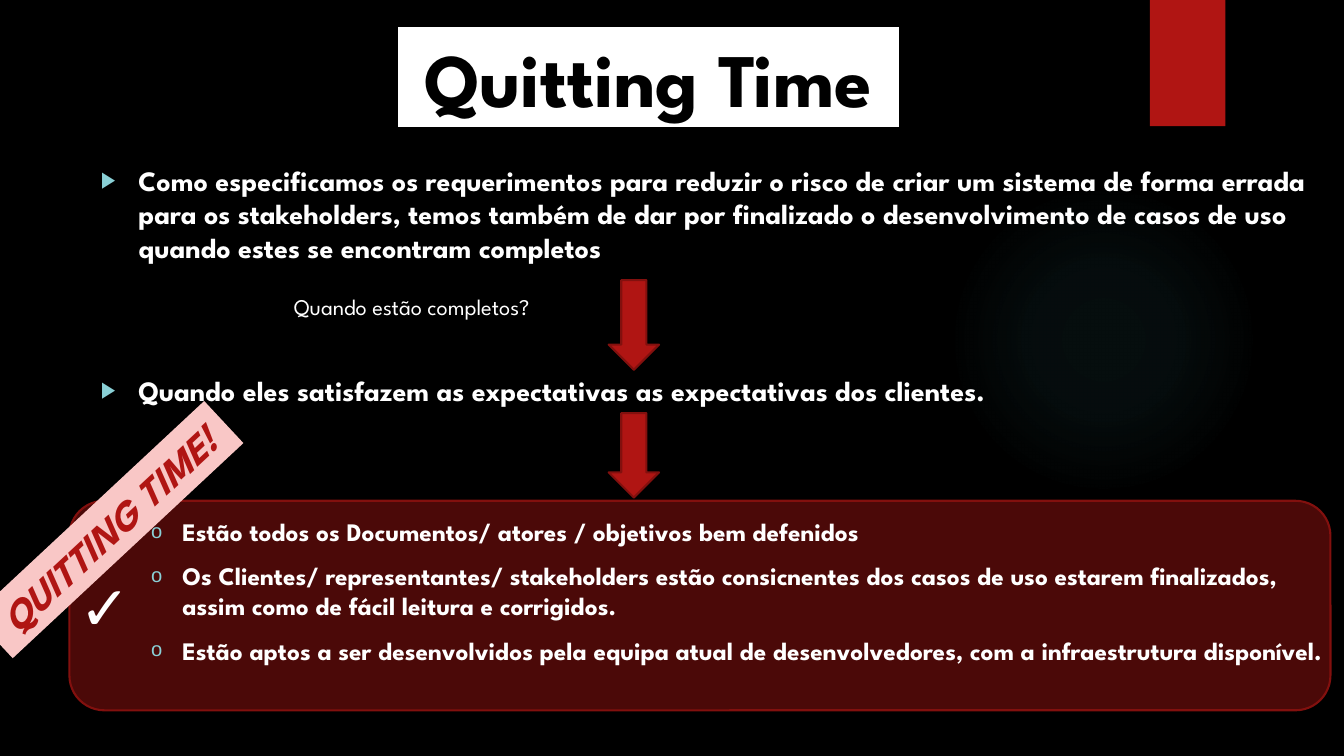
"""Build the Quitting Time slide about finishing use cases."""
import pptx
import pptx.util
import pptx.oxml
import pptx.oxml.ns
import pptx.dml.color
import pptx.enum.shapes
import pptx.enum.text

Cm, Pt = pptx.util.Cm, pptx.util.Pt
RGBColor = pptx.dml.color.RGBColor
SHAPE = pptx.enum.shapes.MSO_SHAPE
ALIGN = pptx.enum.text.PP_ALIGN
MIDDLE = pptx.enum.text.MSO_ANCHOR.MIDDLE

BLACK = RGBColor(0x00, 0x00, 0x00)
WHITE = RGBColor(0xFF, 0xFF, 0xFF)
RED = RGBColor(0xB0, 0x15, 0x13)
DARK = RGBColor(0x82, 0x10, 0x0E)
PINK = RGBColor(0xF9, 0xC7, 0xC6)
AQUA = RGBColor(0x8A, 0xD0, 0xD6)
TEAL = RGBColor(0x50, 0xB9, 0xC1)
FONT = "League Spartan"
SPACE = 'xmlns:a="http://schemas.openxmlformats.org/drawingml/2006/main"'

LEVELS = [
    {"mark": "▶", "size": 20, "left": 0.95, "hang": 0.95},
    {"mark": "o", "size": 18, "left": 2.06, "hang": 0.79},
]
POINTS = [
    (0, 10, "Como especificamos os requerimentos para reduzir o risco de criar um "
            "sistema de forma errada para os stakeholders, temos também de dar por "
            "finalizado o desenvolvimento de casos de uso quando estes se encontram "
            "completos"),
    (0, 78, "Quando eles satisfazem as expectativas as expectativas dos clientes."),
    (1, 78, "Estão todos os Documentos/ atores / objetivos bem defenidos"),
    (1, 10, "Os Clientes/ representantes/ stakeholders estão consicnentes dos casos "
            "de uso estarem finalizados, assim como de fácil leitura e corrigidos."),
    (1, 10, "Estão aptos a ser desenvolvidos pela equipa atual de desenvolvedores, "
            "com a infraestrutura disponível."),
]


def xml(text):
    """Return an element made from drawing markup."""
    return pptx.oxml.parse_xml(text.replace(" ", f" {SPACE} ", 1))


def add_shape(slide, kind, box, fill, line=None):
    """Add a flat preset shape."""
    shape = slide.shapes.add_shape(kind, *map(Cm, box))
    shape.shadow.inherit = False
    shape.fill.solid()
    shape.fill.fore_color.rgb = fill
    if line is None:
        shape.line.fill.background()
    else:
        shape.line.color.rgb = line
        shape.line.width = Pt(1.5)
    return shape


def add_box(slide, box):
    """Add a wrapping text box."""
    shape = slide.shapes.add_textbox(*map(Cm, box))
    shape.text_frame.word_wrap = True
    return shape


def write(para, text, size, color=WHITE, **extra):
    """Write one run with its font values."""
    run = para.add_run()
    run.text = text
    run.font.color.rgb = color
    values = {"name": FONT, "size": Pt(size)} | extra
    for name, value in values.items():
        setattr(run.font, name, value)


def label(shape, text, size, color=WHITE, align=ALIGN.LEFT, **extra):
    """Write a single line into a shape."""
    para = shape.text_frame.paragraphs[0]
    para.alignment = align
    write(para, text, size, color, **extra)


def add_glow(slide, box):
    """Add a faint round glow that fades outwards."""
    shape = add_shape(slide, SHAPE.OVAL, box, TEAL)
    stops = "".join(
        f'<a:gs pos="{pos}000"><a:srgbClr val="{TEAL}">'
        f'<a:alpha val="{alpha}000"/></a:srgbClr></a:gs>'
        for pos, alpha in [(0, 7), (36, 6), (69, 0)])
    grad = xml(f'<a:gradFill rotWithShape="1"><a:gsLst>{stops}</a:gsLst>'
               '<a:path path="circle"><a:fillToRect l="50000" t="50000" '
               'r="50000" b="50000"/></a:path></a:gradFill>')
    props = shape.element.spPr
    props.replace(props.find(pptx.oxml.ns.qn("a:solidFill")), grad)


def add_panel(slide, box):
    """Add the rounded panel with a see-through fill."""
    shape = add_shape(slide, SHAPE.ROUNDED_RECTANGLE, box, RED, DARK)
    solid = shape.element.spPr.find(pptx.oxml.ns.qn("a:solidFill"))
    solid[0].append(xml('<a:alpha val="43000"/>'))


def add_points(slide, box):
    """Add the bulleted text on its two levels."""
    frame = add_box(slide, box).text_frame
    for index, (level, gap, text) in enumerate(POINTS):
        para = frame.add_paragraph() if index else frame.paragraphs[0]
        style = LEVELS[level]
        para.level = level
        para.space_before = Pt(gap)
        props = para._p.get_or_add_pPr()
        props.set("marL", str(Cm(style["left"])))
        props.set("indent", str(-Cm(style["hang"])))
        for part in (f'<a:buClr ><a:srgbClr val="{AQUA}"/></a:buClr>',
                     '<a:buSzPct val="80000"/>',
                     '<a:buFont typeface="Arial"/>',
                     f'<a:buChar char="{style["mark"]}"/>'):
            props.append(xml(part))
        write(para, text, style["size"], bold=True)


def main():
    """Build and save the slide."""
    deck = pptx.Presentation()
    deck.slide_width, deck.slide_height = Cm(33.87), Cm(19.05)
    slide = deck.slides.add_slide(deck.slide_layouts[6])
    slide.background.fill.solid()
    slide.background.fill.fore_color.rgb = BLACK

    add_glow(slide, (23.9, 4.65, 7.82, 7.82))
    add_shape(slide, SHAPE.RECTANGLE, (28.98, 0, 1.9, 3.18), RED)
    add_panel(slide, (1.75, 12.62, 31.78, 5.28))
    add_points(slide, (2.29, 3.99, 31.57, 13.72))

    title = add_shape(slide, SHAPE.RECTANGLE, (10.01, 0.66, 12.67, 2.57), WHITE, BLACK)
    title.text_frame.word_wrap = False
    label(title, "Quitting Time", 54, BLACK, ALIGN.CENTER, bold=True)

    for top, height in [(7.06, 2.26), (10.41, 2.13)]:
        add_shape(slide, SHAPE.DOWN_ARROW, (15.34, top, 1.27, height), RED, DARK)

    label(add_box(slide, (7.16, 7.26, 9.19, 0.94)), "Quando estão completos?", 16)
    check = add_box(slide, (1.75, 14.2, 2.67, 2.13))
    check.text_frame.vertical_anchor = MIDDLE
    label(check, "✓", 44, name="Arial")

    banner = add_shape(slide, SHAPE.RECTANGLE, (-1.24, 12.62, 7.95, 1.45), PINK)
    banner.rotation = 317
    label(banner, "QUITTING TIME!", 28, RED, ALIGN.CENTER, bold=True, italic=True)
    deck.save("out.pptx")


if __name__ == "__main__":
    main()
